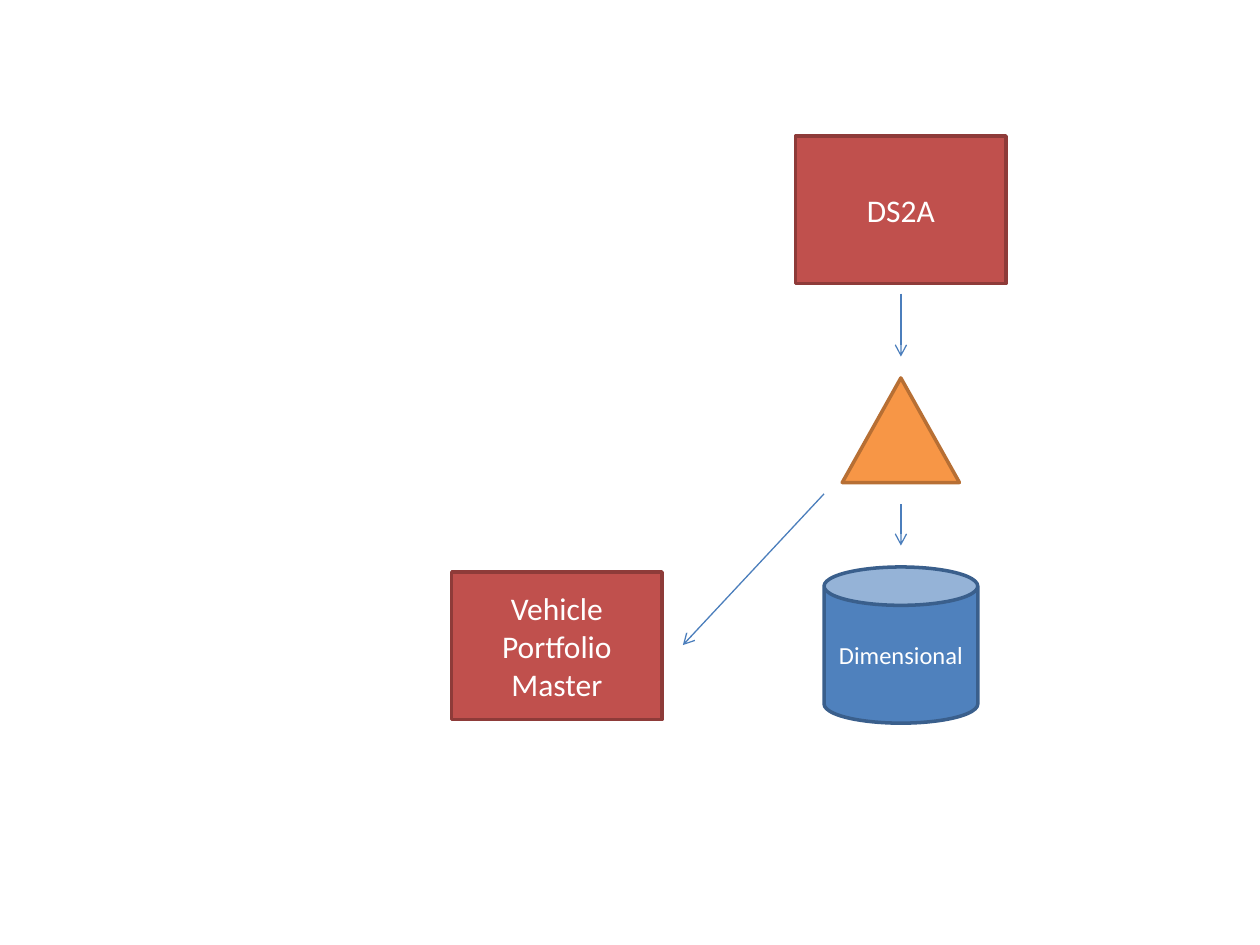
from lxml import etree
from pptx import Presentation
from pptx.dml.color import RGBColor
from pptx.enum.shapes import MSO_CONNECTOR, MSO_SHAPE
from pptx.enum.text import MSO_ANCHOR, PP_ALIGN
from pptx.oxml.ns import qn
from pptx.util import Inches, Pt

RECT = MSO_SHAPE.RECTANGLE
CAN = MSO_SHAPE.CAN
TRIANGLE = MSO_SHAPE.ISOSCELES_TRIANGLE
STRAIGHT = MSO_CONNECTOR.STRAIGHT
MIDDLE = MSO_ANCHOR.MIDDLE
CENTER = PP_ALIGN.CENTER

COLORS = {
    "system": "C0504D", "system_line": "8E3B39",
    "store": "4F81BD", "store_line": "3A5F8C",
    "process": "F79646", "process_line": "B76F34",
    "arrow": "4B7EBC", "text": "FFFFFF",
}
FLOW_X = 7.15
BOX_W, BOX_H = 1.67, 1.17


def color(name):
    return RGBColor.from_string(COLORS[name])


class Diagram:
    font = "Calibri"
    outline = Pt(2)
    arrow_width = Pt(0.75)

    def __init__(self, slide):
        self.slide = slide

    def node(self, kind, role, x, y, w, h, text="", size=18):
        """Draw a filled shape centred horizontally on x, with its top at y."""
        sp = self.slide.shapes.add_shape(
            kind, Inches(x - w / 2), Inches(y), Inches(w), Inches(h))
        sp.shadow.inherit = False
        sp.fill.solid()
        sp.fill.fore_color.rgb = color(role)
        sp.line.color.rgb = color(role + "_line")
        sp.line.width = self.outline
        if text:
            self.label(sp, text, size)

    def label(self, sp, text, size):
        tf = sp.text_frame
        tf.word_wrap = True
        tf.vertical_anchor = MIDDLE
        tf.text = text
        p = tf.paragraphs[0]
        p.alignment = CENTER
        font = p.runs[0].font
        font.name = self.font
        font.size = Pt(size)
        font.color.rgb = color("text")

    def arrow(self, x1, y1, x2, y2):
        line = self.slide.shapes.add_connector(
            STRAIGHT, Inches(x1), Inches(y1), Inches(x2), Inches(y2))
        line.line.color.rgb = color("arrow")
        line.line.width = self.arrow_width
        etree.SubElement(line.line._get_or_add_ln(), qn("a:tailEnd"), type="arrow")
        etree.SubElement(line._element.spPr, qn("a:effectLst"))


def main():
    prs = Presentation()
    prs.slide_width, prs.slide_height = Inches(10), Inches(7.5)
    d = Diagram(prs.slides.add_slide(prs.slide_layouts[6]))

    d.node(CAN, "store", FLOW_X, 4.5, 1.22, 1.24, "Dimensional", 14)
    d.node(RECT, "system", FLOW_X, 1.08, BOX_W, BOX_H, "DS2A")
    d.node(TRIANGLE, "process", FLOW_X, 3, 0.93, 0.83)
    d.arrow(FLOW_X, 2.33, FLOW_X, 2.83)
    d.arrow(FLOW_X, 4, FLOW_X, 4.33)
    d.node(RECT, "system", 4.42, 4.54, BOX_W, BOX_H, "Vehicle Portfolio Master")
    d.arrow(6.54, 3.92, 5.42, 5.12)

    prs.save("out.pptx")


if __name__ == "__main__":
    main()
